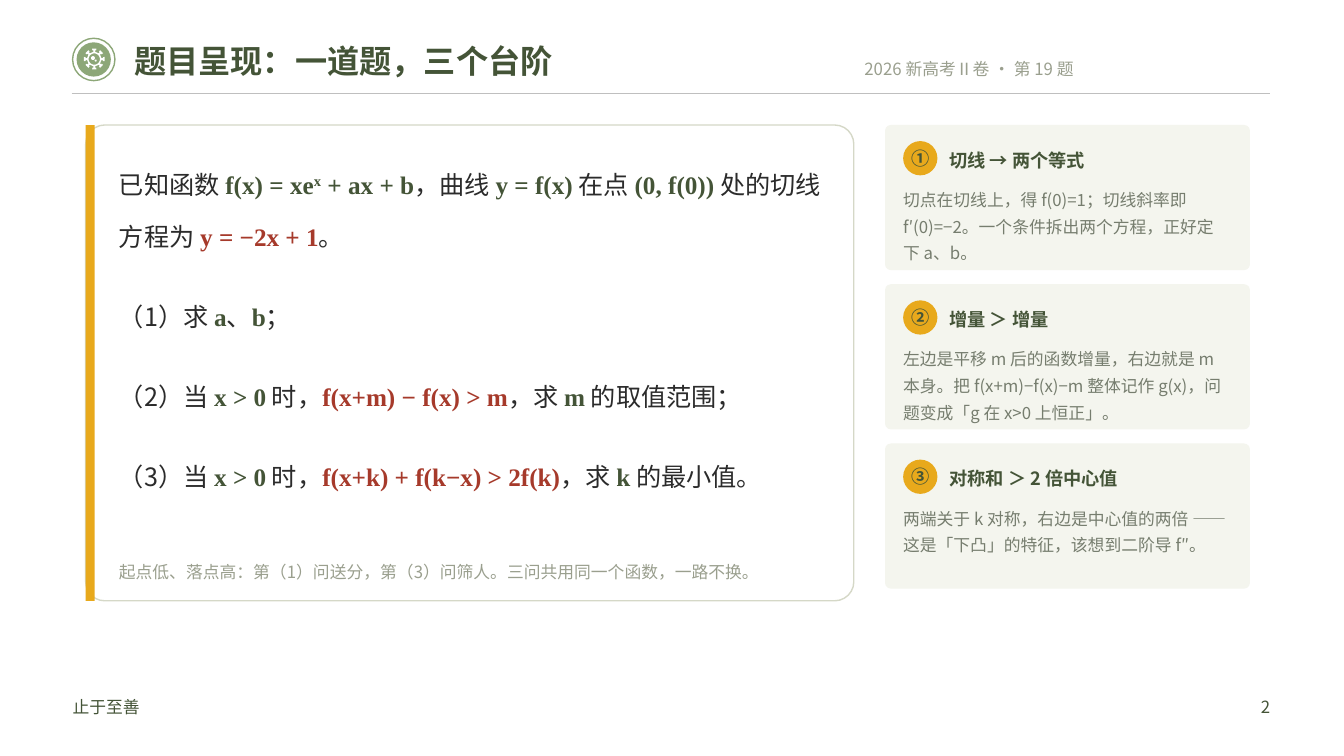
from dataclasses import dataclass
from math import cos, pi, sin

from lxml.etree import SubElement
from pptx import Presentation
from pptx.dml.color import RGBColor
from pptx.enum.shapes import MSO_CONNECTOR as Link, MSO_SHAPE as Kind
from pptx.enum.text import MSO_ANCHOR as Anchor, MSO_AUTO_SIZE as Fit, PP_ALIGN as Align
from pptx.oxml.ns import qn
from pptx.util import Inches, Pt


@dataclass(frozen=True)
class Theme:
    sans: str = "Noto Sans CJK SC"
    serif: str = "Times New Roman"
    green: str = "445437"
    sage: str = "8DA778"
    gold: str = "E8A91C"
    red: str = "A63A2B"
    ink: str = "2B2B2B"
    body: str = "767D6E"
    mute: str = "9A9F8E"
    edge: str = "D5D8C7"
    rule: str = "BFBFBF"
    pale: str = "F4F5EE"
    white: str = "FFFFFF"
    title: int = 23
    quiz: int = 18
    head: int = 13
    small: int = 12


T = Theme()
COLS, ROWS = 133.33, 75  # grid of tenths of an inch

# Text styles of the problem: font, colour, bold, baseline shift
PLAIN = (T.sans, T.ink, False, 0)
MATH = (T.serif, T.green, True, 0)
POWER = (T.serif, T.green, True, 30000)
KEY = (T.serif, T.red, True, 0)

QUIZ = [
    [(PLAIN, "已知函数 "), (MATH, "f(x) = xe"), (POWER, "x"), (MATH, " + ax + b"),
     (PLAIN, "，曲线 "), (MATH, "y = f(x)"), (PLAIN, " 在点 "), (MATH, "(0, f(0))"),
     (PLAIN, " 处的切线方程为 "), (KEY, "y = −2x + 1"), (PLAIN, "。")],
    [(PLAIN, "（1）求 "), (MATH, "a"), (PLAIN, "、"), (MATH, "b"), (PLAIN, "；")],
    [(PLAIN, "（2）当 "), (MATH, "x > 0"), (PLAIN, " 时，"), (KEY, "f(x+m) − f(x) > m"),
     (PLAIN, "，求 "), (MATH, "m"), (PLAIN, " 的取值范围；")],
    [(PLAIN, "（3）当 "), (MATH, "x > 0"), (PLAIN, " 时，"), (KEY, "f(x+k) + f(k−x) > 2f(k)"),
     (PLAIN, "，求 "), (MATH, "k"), (PLAIN, " 的最小值。")],
]
STEPS = [
    ("①", "切线 → 两个等式",
     "切点在切线上，得 f(0)=1；切线斜率即 f′(0)=−2。一个条件拆出两个方程，正好定下 a、b。"),
    ("②", "增量 ＞ 增量",
     "左边是平移 m 后的函数增量，右边就是 m 本身。把 f(x+m)−f(x)−m 整体记作 g(x)，问题变成「g 在 x>0 上恒正」。"),
    ("③", "对称和 ＞ 2 倍中心值",
     "两端关于 k 对称，右边是中心值的两倍 —— 这是「下凸」的特征，该想到二阶导 f″。"),
]


def grid(*cells):
    return [Inches(cell / 10) for cell in cells]


def paint(shape, fill=None, line=None):
    shape.shadow.inherit = False
    if fill:
        shape.fill.solid()
        shape.fill.fore_color.rgb = RGBColor.from_string(fill)
    else:
        shape.fill.background()
    if line:
        shape.line.color.rgb = RGBColor.from_string(line)
        shape.line.width = Pt(1)
    else:
        shape.line.fill.background()


def block(slide, kind, area, fill=None, line=None):
    shape = slide.shapes.add_shape(kind, *grid(*area))
    if kind == Kind.ROUNDED_RECTANGLE:
        shape.adjustments[0] = 0.04
    paint(shape, fill, line)
    return shape


def style(font, size, color, bold=False, name=T.sans):
    font.size, font.bold, font.name = Pt(size), bold, name
    font.color.rgb = RGBColor.from_string(color)
    SubElement(font._rPr, qn("a:ea")).set("typeface", name)


def frame(shape, anchor=Anchor.TOP):
    """Clear the insets of a shape's text and make it wrap."""
    text = shape.text_frame
    text.margin_left = text.margin_right = text.margin_top = text.margin_bottom = 0
    text.word_wrap, text.vertical_anchor = True, anchor
    return text


def label(slide, area, words, size, color, bold=False, align=Align.LEFT, space=1.28,
          anchor=Anchor.TOP):
    text = frame(slide.shapes.add_textbox(*grid(*area)), anchor)
    if anchor == Anchor.TOP:
        text.auto_size = Fit.SHAPE_TO_FIT_TEXT
    para = text.paragraphs[0]
    para.text, para.alignment, para.line_spacing = words, align, space
    style(para.font, size, color, bold)


def polar(x, y, r, turn):
    return Inches((x + r * sin(turn)) / 10), Inches((y - r * cos(turn)) / 10)


def gear(slide, x, y):
    """Draw a ring with eight T-shaped teeth and two bubbles inside it."""
    tooth = [(0.72, -0.13), (0.87, -0.11), (0.87, -0.22), (1.05, -0.2),
             (1.05, 0.2), (0.87, 0.22), (0.87, 0.11), (0.72, 0.13)]
    rim = [polar(x, y, r, n * pi / 4 + turn) for n in range(8) for r, turn in tooth]
    shape = slide.shapes.build_freeform(*rim[0])
    shape.add_line_segments(rim[1:])
    for dx, dy, r in [(0, 0, 0.56), (-0.13, -0.1, 0.19), (0.14, 0.15, 0.1)]:
        ring = [polar(x + dx, y + dy, r, -n * pi / 16) for n in range(32)]
        shape.move_to(*ring[0])
        shape.add_line_segments(ring[1:])
    paint(shape.convert_to_shape(), T.white)


def rule(slide, left, right, y):
    line = slide.shapes.add_connector(Link.STRAIGHT, *grid(left, y, right, y))
    line.line.color.rgb = RGBColor.from_string(T.rule)
    line.line.width = Pt(0.5)
    SubElement(line._element.spPr, qn("a:effectLst"))


def header(slide):
    block(slide, Kind.OVAL, (7.2, 3.8, 4.2, 4.2), line=T.sage)
    block(slide, Kind.OVAL, (7.6, 4.2, 3.4, 3.4), T.sage)
    gear(slide, 9.35, 5.86)
    rule(slide, 7.1, 126, 9.3)
    label(slide, (13.3, 3.8, 97.6, 4.4), "题目呈现：一道题，三个台阶", T.title, T.green,
          True, space=1, anchor=Anchor.MIDDLE)
    label(slide, (71, 5.3, 35.5, 3), "2026 新高考Ⅱ卷 · 第 19 题", T.small, T.mute,
          align=Align.RIGHT)


def quiz(slide):
    block(slide, Kind.ROUNDED_RECTANGLE, (8.5, 12.4, 76.2, 47.2), T.white, T.edge)
    block(slide, Kind.RECTANGLE, (8.5, 12.4, 0.9, 47.2), T.gold)
    text = frame(slide.shapes.add_textbox(*grid(11.8, 14.6, 70.2, 43)))
    for i, parts in enumerate(QUIZ):
        para = text.add_paragraph() if i else text.paragraphs[0]
        para.line_spacing, para.space_before = 1.72, Pt(20 if i else 0)
        for (name, color, bold, shift), words in parts:
            run = para.add_run()
            run.text = words
            style(run.font, T.quiz, color, bold, name)
            if shift:
                run.font._rPr.set("baseline", str(shift))
    label(slide, (11.8, 55.2, 70, 3.4),
          "起点低、落点高：第（1）问送分，第（3）问筛人。三问共用同一个函数，一路不换。",
          T.small, T.mute)


def card(slide, top, mark, head, body):
    block(slide, Kind.ROUNDED_RECTANGLE, (87.8, top, 36.2, 14.4), T.pale)
    badge = block(slide, Kind.OVAL, (89.6, top + 1.6, 3.4, 3.4), T.gold)
    para = frame(badge, Anchor.MIDDLE).paragraphs[0]
    para.text, para.alignment = mark, Align.CENTER
    style(para.font, T.head, T.green, True)
    label(slide, (94.2, top + 1.8, 28.2, 2.8), head, T.head, T.green, True)
    label(slide, (89.6, top + 5.8, 32.4, 8.2), body, T.small, T.body, space=1.32)


def main():
    deck = Presentation()
    deck.slide_width, deck.slide_height = grid(COLS, ROWS)
    slide = deck.slides.add_slide(deck.slide_layouts[6])
    header(slide)
    quiz(slide)
    for i, step in enumerate(STEPS):
        card(slide, 12.4 + 15.8 * i, *step)
    label(slide, (7.2, 68.6, 22, 3.2), "止于至善", T.small, T.green)
    label(slide, (112, 68.6, 14, 3.2), "2", T.small, T.green, align=Align.RIGHT)
    deck.save("out.pptx")


if __name__ == "__main__":
    main()
